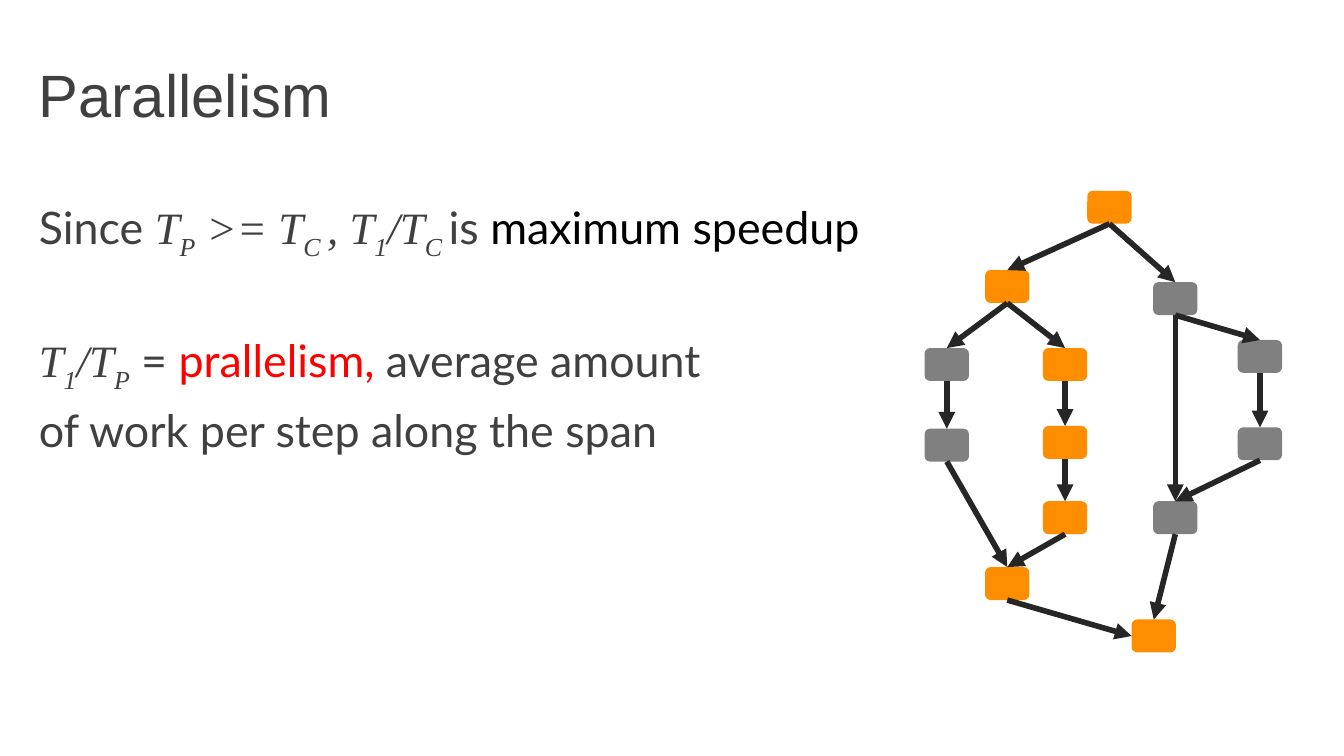
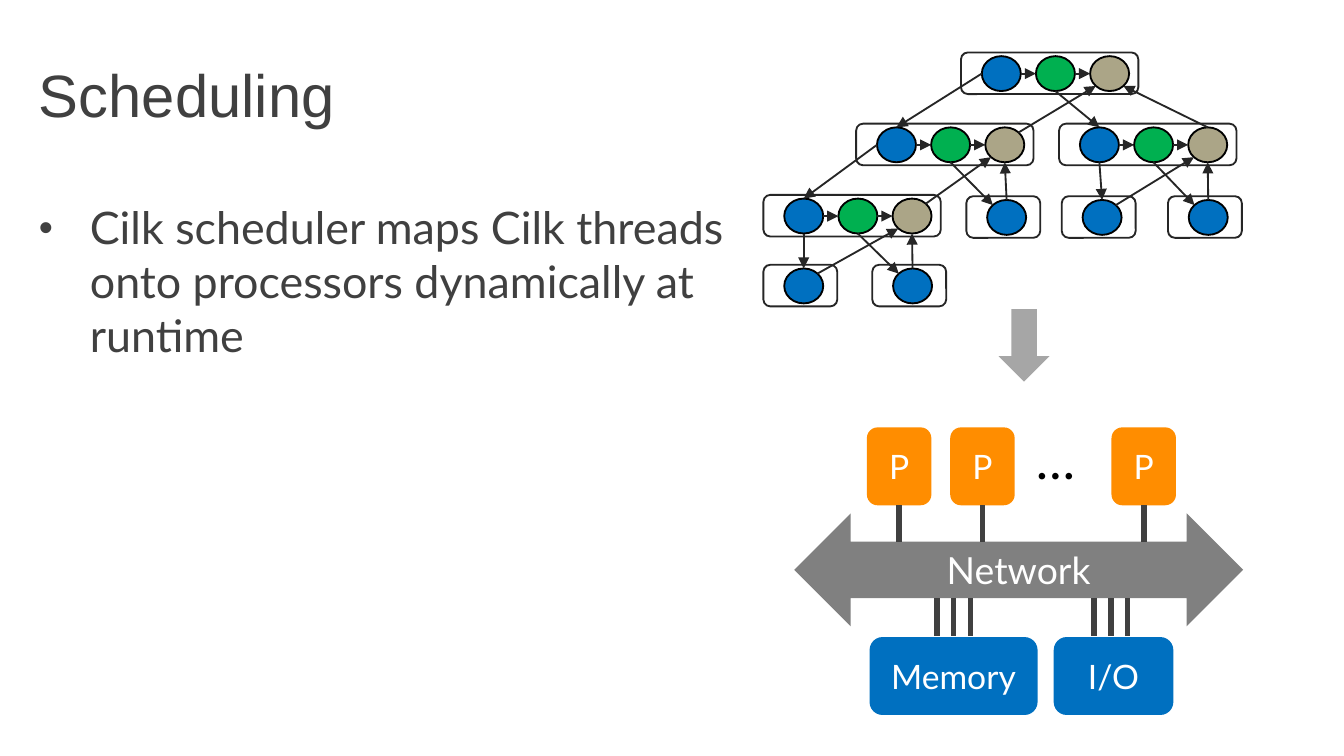
from math import cos, radians, sin

from lxml.etree import SubElement
from pptx import Presentation
from pptx.dml.color import RGBColor
from pptx.enum.shapes import MSO_CONNECTOR as Connector, MSO_SHAPE as Shape
from pptx.enum.text import MSO_ANCHOR as Anchor, PP_ALIGN as Align
from pptx.oxml.ns import qn
from pptx.util import Inches, Pt

paint = RGBColor.from_string
ORANGE, GRAY, BLUE, GREEN, TAN = "FF8D00", "808080", "0070C0", "00B050", "ABA587"
DARK, INK, BLACK, WHITE, RED, SILVER = "404040", "262626", "000000", "FFFFFF", "FF0000", "A6A6A6"
TOP, LEFT, BOTTOM = 0, 1, 2

deck = Presentation()
deck.slide_width = Inches(10)
deck.slide_height = deck.slide_width * 9 // 16
GRID = deck.slide_width // 100


def put(page, kind, place, fill=None, line=None):
    box = page.shapes.add_shape(kind, *[round(value * GRID) for value in place])
    box.shadow.inherit = False
    if fill:
        box.fill.solid()
        box.fill.fore_color.rgb = paint(fill)
    else:
        box.fill.background()
    if line:
        box.line.color.rgb = paint(line)
        box.line.width = Pt(1)
    else:
        box.line.fill.background()
    return box


def link(page, start, end, colour, weight, arrow=True):
    points = [round(value * GRID) for value in (*start, *end)]
    line = page.shapes.add_connector(Connector.STRAIGHT, *points)
    line.line.color.rgb = paint(colour)
    line.line.width = Pt(weight)
    if arrow:
        SubElement(line.line._get_or_add_ln(), qn("a:tailEnd"), type="triangle")
    SubElement(line._element.spPr, qn("a:effectLst"))
    return line


plain = {"name": "Lato", "size": Pt(24), "color": DARK}
math = {**plain, "name": "Times New Roman", "italic": True}
lowered = {**math, "baseline": "-25000"}
strong = {**plain, "color": BLACK}
alert = {**plain, "color": RED}
heading = {"name": "Arial", "size": Pt(32), "color": DARK}
spans = []

parallelism_lines = [
    (0, [("Since ", plain), ("T", math), ("P", lowered), (" >= T", math), ("C ", lowered),
         (", T", math), ("1", lowered), ("/T", math), ("C ", lowered),
         ("is ", plain), ("maximum speedup", strong)]),
    (38.4, [("T", math), ("1", lowered), ("/T", math), ("P", lowered), (" ", math),
            ("= ", plain), ("prallelism, ", alert), ("average amount", plain)]),
    (4.8, [("of work per step along the span", plain)]),
]
scheduling_lines = [
    (0, [("Cilk scheduler maps Cilk threads onto processors dynamically at runtime", plain)]),
]

pages = []
for title, width, bulleted, lines in [
    ("Parallelism", 96.8, False, parallelism_lines),
    ("Scheduling", 54.9, True, scheduling_lines),
]:
    page = deck.slides.add_slide(deck.slide_layouts[5])
    pages.append(page)
    box = page.shapes.title
    place = {"left": 1.9, "top": 2.3, "width": 96.8, "height": 9.4}
    for name, value in place.items():
        setattr(box, name, round(value * GRID))
    box.text_frame.vertical_anchor = Anchor.MIDDLE
    para = box.text_frame.paragraphs[0]
    para.alignment = Align.LEFT
    spans.append((para, title, heading))

    body = page.shapes.add_textbox(*[round(value * GRID) for value in (1.9, 14.4, width, 37.1)])
    body.text_frame.word_wrap = True
    for index, (gap, pieces) in enumerate(lines):
        para = body.text_frame.add_paragraph() if index else body.text_frame.paragraphs[0]
        if bulleted:
            settings = para._p.get_or_add_pPr()
            settings.set("marL", str(Inches(0.38)))
            settings.set("indent", str(-Inches(0.38)))
            SubElement(settings, qn("a:buSzPct"), val="90000")
            SubElement(settings, qn("a:buFont"), typeface="Arial")
            SubElement(settings, qn("a:buChar"), char="•")
        if gap:
            para.space_before = Pt(gap)
        spans += [(para, text, style) for text, style in pieces]

parallelism, scheduling = pages

steps = {
    "start": (80.9, 14.2, ORANGE),
    "fork": (73.3, 20.1, ORANGE),
    "left one": (68.8, 25.9, GRAY),
    "left two": (68.8, 31.9, GRAY),
    "middle one": (77.6, 25.9, ORANGE),
    "middle two": (77.6, 31.7, ORANGE),
    "middle three": (77.6, 37.3, ORANGE),
    "join": (73.3, 42.2, ORANGE),
    "right fork": (85.8, 21, GRAY),
    "right one": (92.1, 25.3, GRAY),
    "right two": (92.1, 31.8, GRAY),
    "right join": (85.8, 37.3, GRAY),
    "finish": (84.2, 46.1, ORANGE),
}
step_boxes = {
    name: put(parallelism, Shape.ROUNDED_RECTANGLE, (left, top, 3.3, 2.45), colour)
    for name, (left, top, colour) in steps.items()
}
for source, target, side in [
    ("start", "fork", TOP),
    ("fork", "left one", TOP),
    ("fork", "middle one", TOP),
    ("left one", "left two", TOP),
    ("middle one", "middle two", TOP),
    ("middle two", "middle three", TOP),
    ("left two", "join", TOP),
    ("middle three", "join", TOP),
    ("join", "finish", LEFT),
    ("right join", "finish", TOP),
    ("start", "right fork", TOP),
    ("right fork", "right join", TOP),
    ("right fork", "right one", TOP),
    ("right one", "right two", TOP),
    ("right two", "right join", TOP),
]:
    line = link(parallelism, (0, 0), (0, 0), INK, 3)
    line.begin_connect(step_boxes[source], BOTTOM)
    line.end_connect(step_boxes[target], side)

THREAD_WIDTH, THREAD_HEIGHT = 2.9, 2.6
COMPASS = ["N", "NW", "W", "SW", "S", "SE", "E", "NE"]
ports = {}
for name, left, top, count in [
    ("root", 71.5, 3.9, 3),
    ("left", 63.7, 9.2, 3),
    ("deep", 56.8, 14.5, 3),
    ("right", 78.8, 9.2, 3),
    ("deep first", 56.8, 19.7, 1),
    ("deep second", 64.9, 19.7, 1),
    ("right first", 79, 14.6, 1),
    ("right second", 86.9, 14.6, 1),
    ("left second", 71.9, 14.6, 1),
]:
    frame_width = 13.2 if count == 3 else 5.5
    put(scheduling, Shape.ROUNDED_RECTANGLE, (left, top, frame_width, 3.1), line=INK)
    for index, colour in enumerate([BLUE, GREEN, TAN][:count]):
        x, y = left + 1.55 + 4.03 * index, top + 0.28
        put(scheduling, Shape.OVAL, (x, y, THREAD_WIDTH, THREAD_HEIGHT), colour, BLACK)
        for turn, direction in enumerate(COMPASS):
            angle = radians(45 * turn)
            ports[name, index, direction] = (
                x + THREAD_WIDTH * (1 - sin(angle)) / 2,
                y + THREAD_HEIGHT * (1 - cos(angle)) / 2,
            )

thread_links = [
    ((name, index, "E"), (name, index + 1, "W"))
    for name in ("root", "left", "deep", "right") for index in range(2)
]
thread_links += [
    (("root", 0, "W"), ("left", 0, "N")),
    (("left", 0, "W"), ("deep", 0, "N")),
    (("deep", 0, "S"), ("deep first", 0, "N")),
    (("right", 0, "S"), ("right first", 0, "N")),
    (("deep first", 0, "NE"), ("deep", 2, "SW")),
    (("deep", 2, "NE"), ("left", 2, "SW")),
    (("left", 2, "NE"), ("root", 2, "SW")),
    (("deep second", 0, "N"), ("deep", 2, "S")),
    (("deep", 1, "S"), ("deep second", 0, "NW")),
    (("left", 1, "S"), ("left second", 0, "NW")),
    (("left second", 0, "N"), ("left", 2, "S")),
    (("root", 1, "S"), ("right", 0, "N")),
    (("right", 2, "N"), ("root", 2, "SE")),
    (("right first", 0, "NE"), ("right", 2, "SW")),
    (("right", 1, "S"), ("right second", 0, "NW")),
    (("right second", 0, "N"), ("right", 2, "S")),
]
for source, target in thread_links:
    link(scheduling, ports[source], ports[target], INK, 1)

for label, kind, place, colour, size in [
    ("Network", Shape.LEFT_RIGHT_ARROW, (59.1, 38.2, 33.4, 8.4), GRAY, 20),
    ("Memory", Shape.ROUNDED_RECTANGLE, (64.7, 47.4, 12.5, 5.8), BLUE, 18),
    ("I/O", Shape.ROUNDED_RECTANGLE, (78.4, 47.4, 8.9, 5.8), BLUE, 18),
    ("P", Shape.ROUNDED_RECTANGLE, (64.5, 31.8, 4.8, 5.8), ORANGE, 18),
    ("P", Shape.ROUNDED_RECTANGLE, (70.7, 31.8, 4.8, 5.8), ORANGE, 18),
    ("P", Shape.ROUNDED_RECTANGLE, (82.7, 31.8, 4.8, 5.8), ORANGE, 18),
]:
    box = put(scheduling, kind, place, colour)
    box.text_frame.vertical_anchor = Anchor.MIDDLE
    para = box.text_frame.paragraphs[0]
    para.alignment = Align.CENTER
    spans.append((para, label, {"name": "Lato", "size": Pt(size), "color": WHITE}))
    if label == "P":
        x = place[0] + place[2] / 2
        line = link(scheduling, (x, 37.6), (x, 40.3), DARK, 3, arrow=False)
        line.begin_connect(box, BOTTOM)

dots = scheduling.shapes.add_textbox(*[round(value * GRID) for value in (76.1, 31.3, 5.7, 5.7)])
dots.text_frame.word_wrap = False
spans.append((dots.text_frame.paragraphs[0], "…", {**strong, "size": Pt(28)}))

for first in (69.7, 81.4):
    for index in range(3):
        x = first + 1.25 * index
        link(scheduling, (x, 44.5), (x, 47.3), DARK, 3, arrow=False)

put(scheduling, Shape.DOWN_ARROW, (74.3, 23, 3.8, 5.4), SILVER)

for para, text, style in spans:
    span = para.add_run()
    span.text = text
    for name, value in style.items():
        if name == "color":
            span.font.color.rgb = paint(value)
        elif name == "baseline":
            span._r.get_or_add_rPr().set(name, value)
        else:
            setattr(span.font, name, value)

deck.save("out.pptx")
